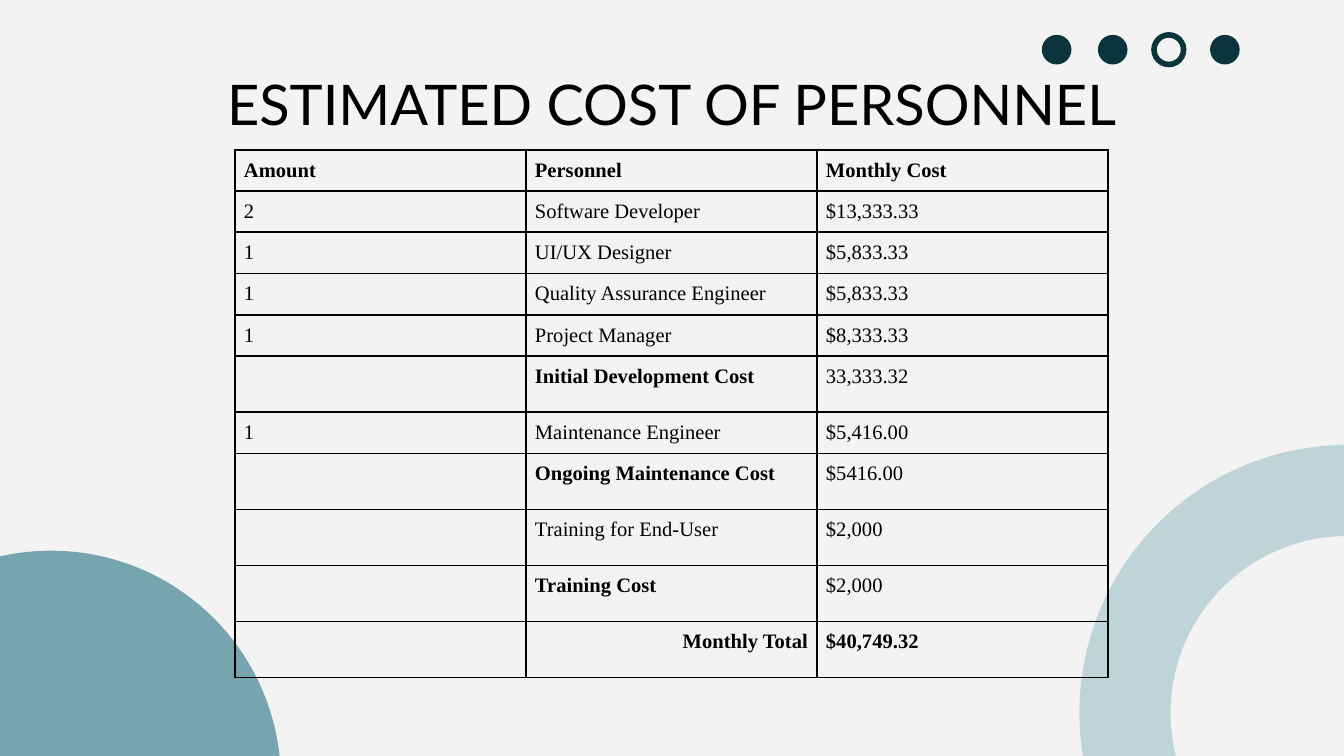
import pptx
import pptx.dml.color
import pptx.enum.shapes
import pptx.enum.text
import pptx.oxml
import pptx.oxml.ns
import pptx.util
from lxml import etree

Cm = pptx.util.Cm
Pt = pptx.util.Pt
SHAPE = pptx.enum.shapes.MSO_SHAPE
ALIGN = pptx.enum.text.PP_ALIGN

COLOURS = {
    "background": "F3F3F3",
    "dot": "0C343D",
    "disc": "76A5AF",
    "ring": "BED4D8",
    "ink": "000000",
}

COSTS = [
    ("Amount", "Personnel", "Monthly Cost"),
    ("2", "Software Developer", "$13,333.33"),
    ("1", "UI/UX Designer", "$5,833.33"),
    ("1", "Quality Assurance Engineer", "$5,833.33"),
    ("1", "Project Manager", "$8,333.33"),
    ("", "Initial Development Cost", "33,333.32"),
    ("1", "Maintenance Engineer", "$5,416.00"),
    ("", "Ongoing Maintenance Cost", "$5416.00"),
    ("", "Training for End-User", "$2,000"),
    ("", "Training Cost", "$2,000"),
    ("", "Monthly Total", "$40,749.32"),
]
SUBTOTALS = {"Initial Development Cost", "Ongoing Maintenance Cost", "Training Cost"}
HEADER, TOTAL = COSTS[0], COSTS[-1]


def rgb(name):
    return pptx.dml.color.RGBColor.from_string(COLOURS[name])


def add_round(slide, kind, left, top, size, fill=None, outline=None):
    figure = slide.shapes.add_shape(kind, Cm(left), Cm(top), Cm(size), Cm(size))
    figure.shadow.inherit = False
    if fill:
        figure.fill.solid()
        figure.fill.fore_color.rgb = rgb(fill)
    else:
        figure.fill.background()
    if outline:
        figure.line.color.rgb = rgb(outline)
        figure.line.width = Pt(3)
    else:
        figure.line.fill.background()
    return figure


def add_dots(slide):
    for index in range(4):
        style = {"outline": "dot"} if index == 2 else {"fill": "dot"}
        add_round(slide, SHAPE.OVAL, 19.69 + 1.06 * index, 0.66, 0.56, **style)


def format_run(run, font, size, bold=False):
    run.font.name = font
    run.font.size = Pt(size)
    run.font.bold = bold
    run.font.color.rgb = rgb("ink")


def set_title(slide, wording):
    title = slide.shapes.title
    title.left, title.top, title.width, title.height = Cm(2), Cm(1.24), Cm(21.4), Cm(1.6)
    frame = title.text_frame
    frame.text = wording
    frame.word_wrap = True
    frame.auto_size = pptx.enum.text.MSO_AUTO_SIZE.NONE
    frame.vertical_anchor = pptx.enum.text.MSO_ANCHOR.BOTTOM
    frame.margin_left = frame.margin_right = Cm(0.25)
    frame.margin_top = frame.margin_bottom = Cm(0.25)
    frame.paragraphs[0].alignment = ALIGN.CENTER
    format_run(frame.paragraphs[0].runs[0], "Lato", 30)


def add_borders(cell):
    properties = cell._tc.get_or_add_tcPr()
    for side in ("lnL", "lnR", "lnT", "lnB"):
        border = etree.SubElement(properties, pptx.oxml.ns.qn(f"a:{side}"), w=str(Pt(1)))
        fill = etree.SubElement(border, pptx.oxml.ns.qn("a:solidFill"))
        etree.SubElement(fill, pptx.oxml.ns.qn("a:srgbClr"), val=COLOURS["ink"])


def fill_cell(cell, wording, bold):
    add_borders(cell)
    cell.fill.background()
    cell.margin_left = cell.margin_right = Cm(0.17)
    cell.margin_top = cell.margin_bottom = Cm(0.17)
    paragraph = cell.text_frame.paragraphs[0]
    if wording:
        paragraph.text = wording
        format_run(paragraph.runs[0], "Times New Roman", 11, bold)
    else:
        # Keeps the empty line from stretching its row
        etree.SubElement(paragraph._p, pptx.oxml.ns.qn("a:endParaRPr"), sz="1100")
    if wording == TOTAL[1]:
        paragraph.alignment = ALIGN.RIGHT


def add_cost_table(slide):
    heights = [0.78 if row[0] else 1.06 for row in COSTS]
    table = slide.shapes.add_table(
        len(COSTS), len(HEADER), Cm(4.44), Cm(2.83), Cm(16.5), Cm(sum(heights))
    ).table
    table.first_row = False
    table.horz_banding = False
    for column in table.columns:
        column.width = Cm(5.5)
    for row, height, costs in zip(table.rows, heights, COSTS):
        row.height = Cm(height)
        for cell, wording in zip(row.cells, costs):
            bold = costs in (HEADER, TOTAL) or wording in SUBTOTALS
            fill_cell(cell, wording, bold)


def main():
    deck = pptx.Presentation()
    deck.slide_width, deck.slide_height = Cm(25.4), Cm(14.29)
    slide = deck.slides.add_slide(deck.slide_layouts[5])
    slide.background.fill.solid()
    slide.background.fill.fore_color.rgb = rgb("background")
    add_dots(slide)
    add_round(slide, SHAPE.OVAL, -3.38, 10.41, 8.69, fill="disc")
    ring = add_round(slide, SHAPE.DONUT, 20.4, 8.41, 10.13, fill="ring")
    ring.adjustments[0] = 0.17
    set_title(slide, "ESTIMATED COST OF PERSONNEL")
    add_cost_table(slide)
    deck.save("out.pptx")


if __name__ == "__main__":
    main()
